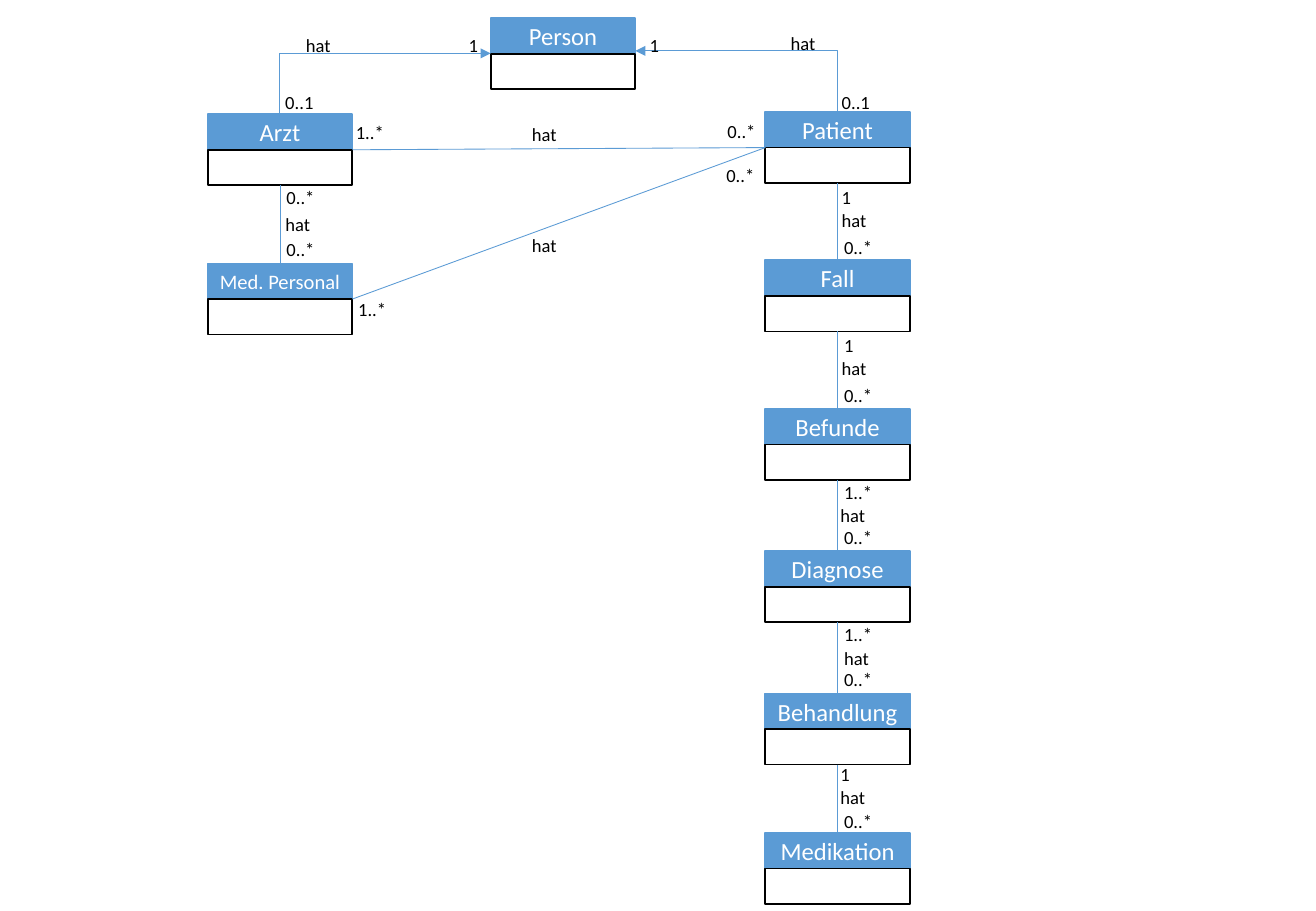
from dataclasses import dataclass

from lxml import etree
from pptx import Presentation
from pptx.dml.color import RGBColor
from pptx.enum.shapes import MSO_CONNECTOR, MSO_SHAPE
from pptx.enum.text import MSO_ANCHOR, MSO_AUTO_SIZE, PP_ALIGN
from pptx.oxml.ns import qn
from pptx.shapes.autoshape import Shape
from pptx.shapes.connector import Connector
from pptx.shapes.shapetree import SlideShapes
from pptx.util import Pt

RECTANGLE = MSO_SHAPE.RECTANGLE
STRAIGHT, ELBOW = MSO_CONNECTOR.STRAIGHT, MSO_CONNECTOR.ELBOW
MIDDLE, CENTER = MSO_ANCHOR.MIDDLE, PP_ALIGN.CENTER
GROW = MSO_AUTO_SIZE.SHAPE_TO_FIT_TEXT
TOP, BOTTOM = 0, 2
BLANK_LAYOUT = 6

CLASS_WIDTH, ROW_HEIGHT = 85.7, 21.1
LABEL_HEIGHT = 20.9
LABEL_WIDTHS = {"1": 20, "hat": 29.5}
RANGE_WIDTH = 31.7
STAFF_X, PERSON_X, PATIENT_X = 123.1, 290.9, 453.6


@dataclass(frozen=True)
class Theme:
    font: str = "Calibri"
    blue: RGBColor = RGBColor(0x5B, 0x9B, 0xD5)
    black: RGBColor = RGBColor(0, 0, 0)
    white: RGBColor = RGBColor(255, 255, 255)
    label_size: float = 11
    border: float = 1
    link: float = 0.5


@dataclass(frozen=True)
class UmlClass:
    name: str
    left: float
    top: float
    name_size: float = 14.6

    @property
    def right(self) -> float:
        return self.left + CLASS_WIDTH

    @property
    def center(self) -> float:
        return self.left + CLASS_WIDTH / 2

    @property
    def seam(self) -> float:
        """Height at which the name row meets the empty row."""
        return self.top + ROW_HEIGHT


@dataclass(frozen=True)
class Label:
    text: str
    left: float
    top: float


@dataclass(frozen=True)
class Inheritance:
    child: str
    end_x: float
    end_y: float


THEME = Theme()
CLASSES = (
    UmlClass("Person", PERSON_X, 10.8),
    UmlClass("Arzt", STAFF_X, 67.7),
    UmlClass("Med. Personal", STAFF_X, 156.2, 12.2),
    UmlClass("Patient", PATIENT_X, 66.4),
    UmlClass("Fall", PATIENT_X, 154.3),
    UmlClass("Befunde", PATIENT_X, 242.4),
    UmlClass("Diagnose", PATIENT_X, 326.7),
    UmlClass("Behandlung", PATIENT_X, 411.1),
    UmlClass("Medikation", PATIENT_X, 493.7),
)
INHERITANCES = (
    Inheritance("Patient", PERSON_X + CLASS_WIDTH, 30.2),
    Inheritance("Arzt", PERSON_X, 31.7),
)
VERTICAL_LINKS = (
    ("Arzt", "Med. Personal"), ("Patient", "Fall"), ("Fall", "Befunde"),
    ("Befunde", "Diagnose"), ("Diagnose", "Behandlung"),
    ("Behandlung", "Medikation"),
)
CROSS_LINKS = (("Arzt", "Patient"), ("Med. Personal", "Patient"))
LABELS = (
    # Person to Arzt and Patient
    Label("1", 270.7, 16.6), Label("hat", 174.2, 16.6), Label("0..1", 162, 50.4),
    Label("1", 378, 16.6), Label("hat", 461.5, 15.1), Label("0..1", 491.8, 50.4),
    # Arzt to Med. Personal
    Label("0..*", 162.7, 106.6), Label("hat", 162, 122.4), Label("0..*", 162.7, 137.5),
    # Patient down to Medikation
    Label("1", 491.8, 106.6), Label("hat", 491.8, 120.2), Label("0..*", 493.2, 136.1),
    Label("1", 493.2, 194.4), Label("hat", 491.8, 208.1), Label("0..*", 493.2, 223.9),
    Label("1..*", 493.2, 281.5), Label("hat", 491, 295.2), Label("0..*", 493.2, 308.2),
    Label("1..*", 493.2, 365.8), Label("hat", 493.2, 380.2), Label("0..*", 493.2, 392.4),
    Label("1", 491, 448.6), Label("hat", 491, 462.2), Label("0..*", 493.2, 476.6),
    # Arzt and Med. Personal across to Patient
    Label("1..*", 203.8, 68.4), Label("hat", 308.2, 69.1), Label("0..*", 424.1, 67.7),
    Label("1..*", 205.2, 172.8), Label("hat", 308.2, 135.4), Label("0..*", 423.4, 93.6),
)


def write(shape: Shape, text: str, size: float, color: RGBColor) -> None:
    shape.text_frame.text = text
    font = shape.text_frame.paragraphs[0].runs[0].font
    font.name, font.size, font.color.rgb = THEME.font, Pt(size), color


def add_row(shapes: SlideShapes, left: float, top: float, border: RGBColor) -> Shape:
    row = shapes.add_shape(RECTANGLE, Pt(left), Pt(top), Pt(CLASS_WIDTH), Pt(ROW_HEIGHT))
    row.shadow.inherit = False
    row.line.color.rgb = border
    row.line.width = Pt(THEME.border)
    return row


def add_class(shapes: SlideShapes, uml: UmlClass) -> tuple[Shape, Shape]:
    """Draw both rows of a class and return them, name row first."""
    header = add_row(shapes, uml.left, uml.top, THEME.blue)
    header.fill.solid()
    header.fill.fore_color.rgb = THEME.blue
    write(header, uml.name, uml.name_size, THEME.white)
    frame = header.text_frame
    frame.vertical_anchor = MIDDLE
    frame.paragraphs[0].alignment = CENTER
    frame.margin_left = frame.margin_right = Pt(5.8)
    frame.margin_top = frame.margin_bottom = Pt(2.9)
    body = add_row(shapes, uml.left, uml.seam, THEME.black)
    body.fill.background()
    return header, body


def add_link(shapes: SlideShapes, kind: MSO_CONNECTOR, x1: float, y1: float,
             x2: float, y2: float) -> Connector:
    link = shapes.add_connector(kind, Pt(x1), Pt(y1), Pt(x2), Pt(y2))
    link.line.color.rgb = THEME.blue
    link.line.width = Pt(THEME.link)
    etree.SubElement(link.element.spPr, qn("a:effectLst"))
    return link


def add_inheritance(shapes: SlideShapes, child: UmlClass, header: Shape,
                    end_x: float, end_y: float) -> None:
    """Draw an arrow that rises from the child and turns once towards Person."""
    link = add_link(shapes, ELBOW, child.center, child.top, end_x, end_y)
    link.begin_connect(header, TOP)
    rise, run = child.top - end_y, abs(end_x - child.center)
    link.left = Pt((child.center + end_x - rise) / 2)
    link.top = Pt((child.top + end_y - run) / 2)
    link.width, link.height = Pt(rise), Pt(run)
    properties = link.element.spPr
    turns_right = end_x > child.center
    transform = properties.find(qn("a:xfrm"))
    transform.set("rot", str((90 if turns_right else 270) * 60000))
    transform.set("flipH", "1" if turns_right else "0")
    transform.set("flipV", "1")
    properties.find(qn("a:prstGeom")).set("prst", "bentConnector2")
    etree.SubElement(properties.find(qn("a:ln")), qn("a:tailEnd"), type="triangle")


def add_label(shapes: SlideShapes, label: Label) -> None:
    width = LABEL_WIDTHS.get(label.text, RANGE_WIDTH)
    box = shapes.add_textbox(Pt(label.left), Pt(label.top), Pt(width), Pt(LABEL_HEIGHT))
    write(box, label.text, THEME.label_size, THEME.black)
    box.text_frame.word_wrap = False
    box.text_frame.auto_size = GROW


def main() -> None:
    deck = Presentation()
    deck.slide_width, deck.slide_height = Pt(780), Pt(540)
    shapes = deck.slides.add_slide(deck.slide_layouts[BLANK_LAYOUT]).shapes
    classes = {uml.name: uml for uml in CLASSES}
    rows = {uml.name: add_class(shapes, uml) for uml in CLASSES}
    for arrow in INHERITANCES:
        add_inheritance(shapes, classes[arrow.child], rows[arrow.child][0],
                        arrow.end_x, arrow.end_y)
    for upper, lower in VERTICAL_LINKS:
        start, end = classes[upper], classes[lower]
        link = add_link(shapes, STRAIGHT, start.center, start.seam + ROW_HEIGHT,
                        end.center, end.top)
        link.begin_connect(rows[upper][1], BOTTOM)
        link.end_connect(rows[lower][0], TOP)
    for staff, patient in CROSS_LINKS:
        start, end = classes[staff], classes[patient]
        add_link(shapes, STRAIGHT, start.right, start.seam, end.left, end.seam)
    for label in LABELS:
        add_label(shapes, label)
    deck.save("out.pptx")


if __name__ == "__main__":
    main()
